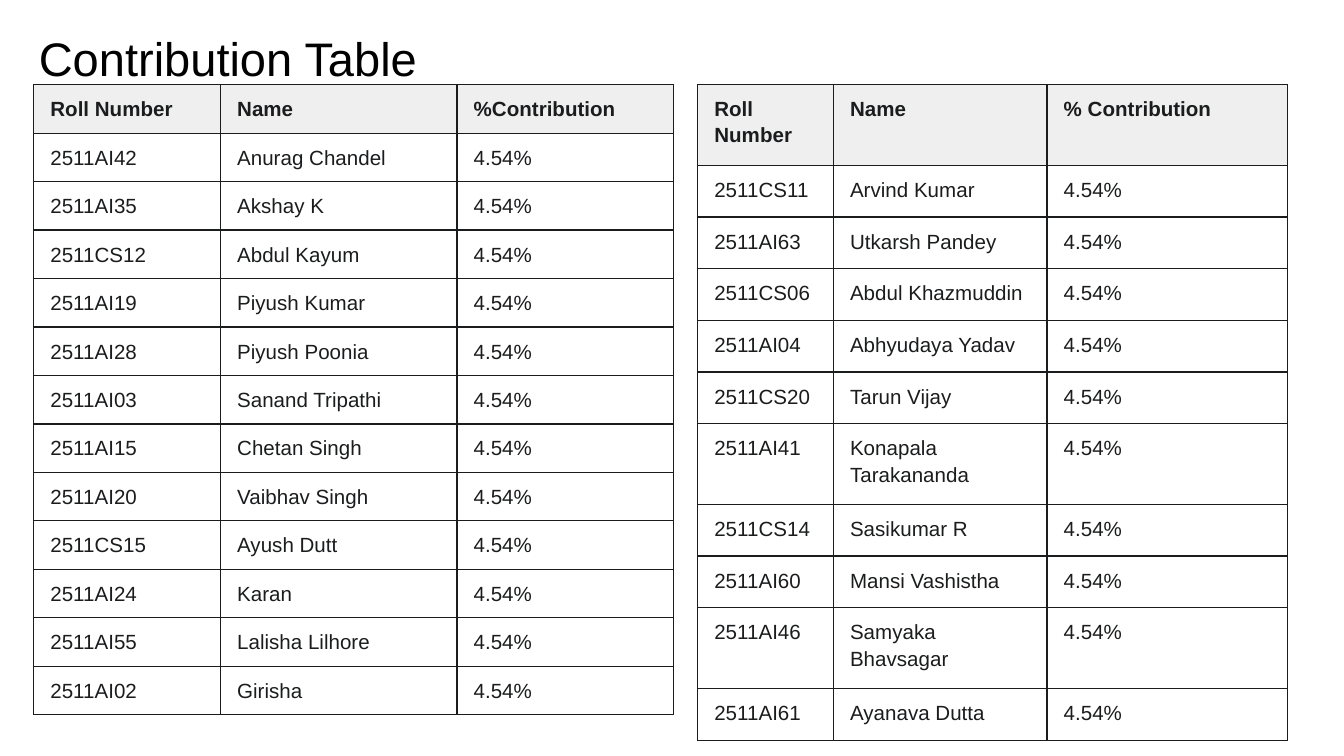
import pptx
import pptx.util
import pptx.dml.color
import pptx.enum.text
import pptx.oxml.ns
from lxml import etree

Inches = pptx.util.Inches
Pt = pptx.util.Pt
INK = "1B1C1D"
HEAD = "EFEFEF"
SHARE = "4.54%"

LEFT = {
    "x": 0.25,
    "cols": [1.39, 1.76, 1.61],
    "high": 3.9,
    "tall": {},
    "head": ["Roll Number", "Name", "%Contribution"],
    "people": [
        ("2511AI42", "Anurag Chandel"),
        ("2511AI35", "Akshay K"),
        ("2511CS12", "Abdul Kayum"),
        ("2511AI19", "Piyush Kumar"),
        ("2511AI28", "Piyush Poonia"),
        ("2511AI03", "Sanand Tripathi"),
        ("2511AI15", "Chetan Singh"),
        ("2511AI20", "Vaibhav Singh"),
        ("2511CS15", "Ayush Dutt"),
        ("2511AI24", "Karan"),
        ("2511AI55", "Lalisha Lilhore"),
        ("2511AI02", "Girisha"),
    ],
}
RIGHT = {
    "x": 5.19,
    "cols": [1.01, 1.59, 1.79],
    "high": 4.88,
    "tall": {0: 0.6, 6: 0.6, 9: 0.6},
    "head": ["Roll Number", "Name", "% Contribution"],
    "people": [
        ("2511CS11", "Arvind Kumar"),
        ("2511AI63", "Utkarsh Pandey"),
        ("2511CS06", "Abdul Khazmuddin"),
        ("2511AI04", "Abhyudaya Yadav"),
        ("2511CS20", "Tarun Vijay"),
        ("2511AI41", "Konapala Tarakananda"),
        ("2511CS14", "Sasikumar R"),
        ("2511AI60", "Mansi Vashistha"),
        ("2511AI46", "Samyaka Bhavsagar"),
        ("2511AI61", "Ayanava Dutta"),
    ],
}


def color(code):
    return pptx.dml.color.RGBColor.from_string(code)


def write(frame, text, size=11, ink=INK, bold=False, space=1.0):
    frame.word_wrap = True
    para = frame.paragraphs[0]
    para.line_spacing = space
    run = para.add_run()
    run.text = text
    run.font.name = "Arial"
    run.font.size = Pt(size)
    run.font.bold = bold
    run.font.color.rgb = color(ink)


def border(cell):
    props = cell._tc.get_or_add_tcPr()
    qn = pptx.oxml.ns.qn
    for n, side in enumerate(("a:lnL", "a:lnR", "a:lnT", "a:lnB")):
        line = etree.Element(qn(side), w=str(Pt(0.75)))
        fill = etree.SubElement(line, qn("a:solidFill"))
        etree.SubElement(fill, qn("a:srgbClr"), val=INK)
        props.insert(n, line)


def add_list(slide, data):
    rows = [data["head"]] + [(*person, SHARE) for person in data["people"]]
    tall = data["tall"]
    even = (data["high"] - sum(tall.values())) / (len(rows) - len(tall))
    frame = slide.shapes.add_table(
        len(rows), len(data["cols"]), Inches(data["x"]), Inches(0.63),
        Inches(sum(data["cols"])), Inches(data["high"]))
    table = frame.table
    table.first_row = table.horz_banding = False
    for col, wide in zip(table.columns, data["cols"]):
        col.width = Inches(wide)
    for r, texts in enumerate(rows):
        table.rows[r].height = Inches(tall.get(r, even))
        for c, text in enumerate(texts):
            cell = table.cell(r, c)
            cell.margin_left = cell.margin_right = Pt(9)
            cell.margin_top = cell.margin_bottom = Pt(5.4)
            if r == 0:
                cell.fill.solid()
                cell.fill.fore_color.rgb = color(HEAD)
            else:
                cell.fill.background()
            border(cell)
            write(cell.text_frame, text, bold=r == 0, space=1.15)


def main():
    deck = pptx.Presentation()
    deck.slide_width = Inches(10)
    deck.slide_height = deck.slide_width * 9 // 16
    slide = deck.slides.add_slide(deck.slide_layouts[6])
    title = slide.shapes.add_textbox(
        Inches(0.19), Inches(0.11), Inches(9.32), Inches(0.63)).text_frame
    title.margin_top = title.margin_bottom = Inches(0.1)
    title.margin_left = title.margin_right = Inches(0.1)
    title.vertical_anchor = pptx.enum.text.MSO_ANCHOR.BOTTOM
    write(title, "Contribution Table", size=25.2, ink="000000")
    for data in (LEFT, RIGHT):
        add_list(slide, data)
    deck.save("out.pptx")


if __name__ == "__main__":
    main()
